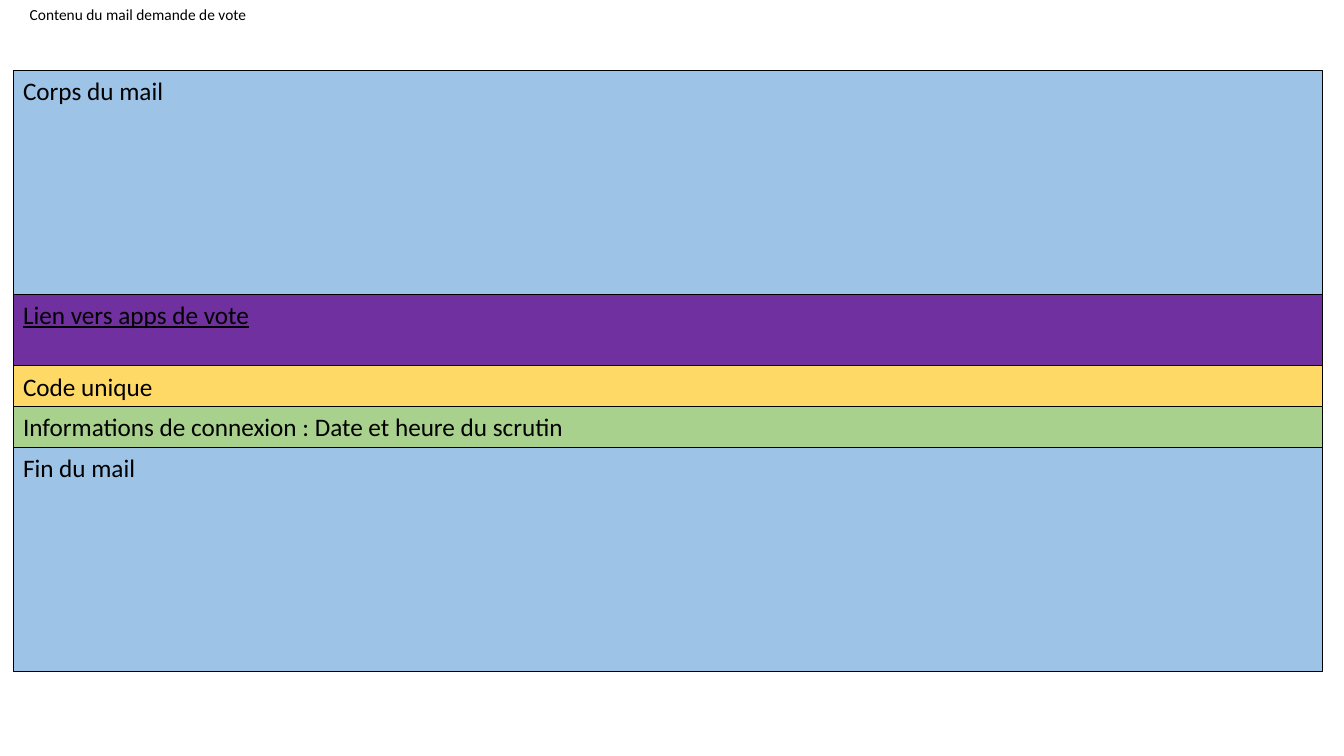
from dataclasses import dataclass

from pptx import Presentation
from pptx.dml.color import RGBColor
from pptx.enum.shapes import MSO_SHAPE
from pptx.enum.text import MSO_ANCHOR, PP_ALIGN
from pptx.util import Inches, Pt

RECTANGLE = MSO_SHAPE.RECTANGLE
TOP = MSO_ANCHOR.TOP
LEFT = PP_ALIGN.LEFT
CENTER = PP_ALIGN.CENTER
TITLE_ONLY = 5


@dataclass(frozen=True)
class Theme:
    """Colours, font and sizes of the slide."""
    font: str = "Calibri"
    ink: str = "000000"
    blue: str = "9DC3E6"
    purple: str = "7030A0"
    yellow: str = "FFD966"
    green: str = "A9D18E"
    title_size: float = 11
    body_size: float = 18
    line_width: float = 0.75


THEME = Theme()
MAIL_SECTIONS = [
    ("Corps du mail", 2.22, THEME.blue, False),
    ("Lien vers apps de vote", 0.71, THEME.purple, True),
    ("Code unique", 0.4, THEME.yellow, False),
    ("Informations de connexion : Date et heure du scrutin", 0.41, THEME.green, False),
    ("Fin du mail", 2.22, THEME.blue, False),
]


def write_text(shape, text, size, align, underline=False):
    """Write one line of text at the top of a shape."""
    frame = shape.text_frame
    frame.text = text
    frame.word_wrap = True
    frame.vertical_anchor = TOP
    frame.margin_left = frame.margin_right = Inches(0.1)
    frame.margin_top = frame.margin_bottom = Inches(0.05)
    para = frame.paragraphs[0]
    para.alignment = align
    para.line_spacing = 1.0
    font = para.runs[0].font
    font.name = THEME.font
    font.size = Pt(size)
    font.color.rgb = RGBColor.from_string(THEME.ink)
    if underline:
        font.underline = True


def place_title(page, text, left, top, width, height):
    """Move the title placeholder into the given box and fill it."""
    title = page.shapes.title
    title.left, title.top = Inches(left), Inches(top)
    title.width, title.height = Inches(width), Inches(height)
    write_text(title, text, THEME.title_size, CENTER)


def stack_sections(page, sections, left, top, width):
    """Stack the mail sections downwards from the top of the given column."""
    for text, height, colour, underline in sections:
        box = page.shapes.add_shape(
            RECTANGLE, Inches(left), Inches(top), Inches(width), Inches(height))
        box.shadow.inherit = False
        box.fill.solid()
        box.fill.fore_color.rgb = RGBColor.from_string(colour)
        box.line.color.rgb = RGBColor.from_string(THEME.ink)
        box.line.width = Pt(THEME.line_width)
        write_text(box, text, THEME.body_size, LEFT, underline)
        top += height


def main():
    """Build the slide and save the deck."""
    deck = Presentation()
    deck.slide_width, deck.slide_height = Inches(13.33), Inches(7.5)
    page = deck.slides.add_slide(deck.slide_layouts[TITLE_ONLY])
    place_title(page, "Contenu du mail demande de vote", 0, 0, 2.74, 0.29)
    stack_sections(page, MAIL_SECTIONS, 0.13, 0.7, 12.99)
    deck.save("out.pptx")


if __name__ == "__main__":
    main()
